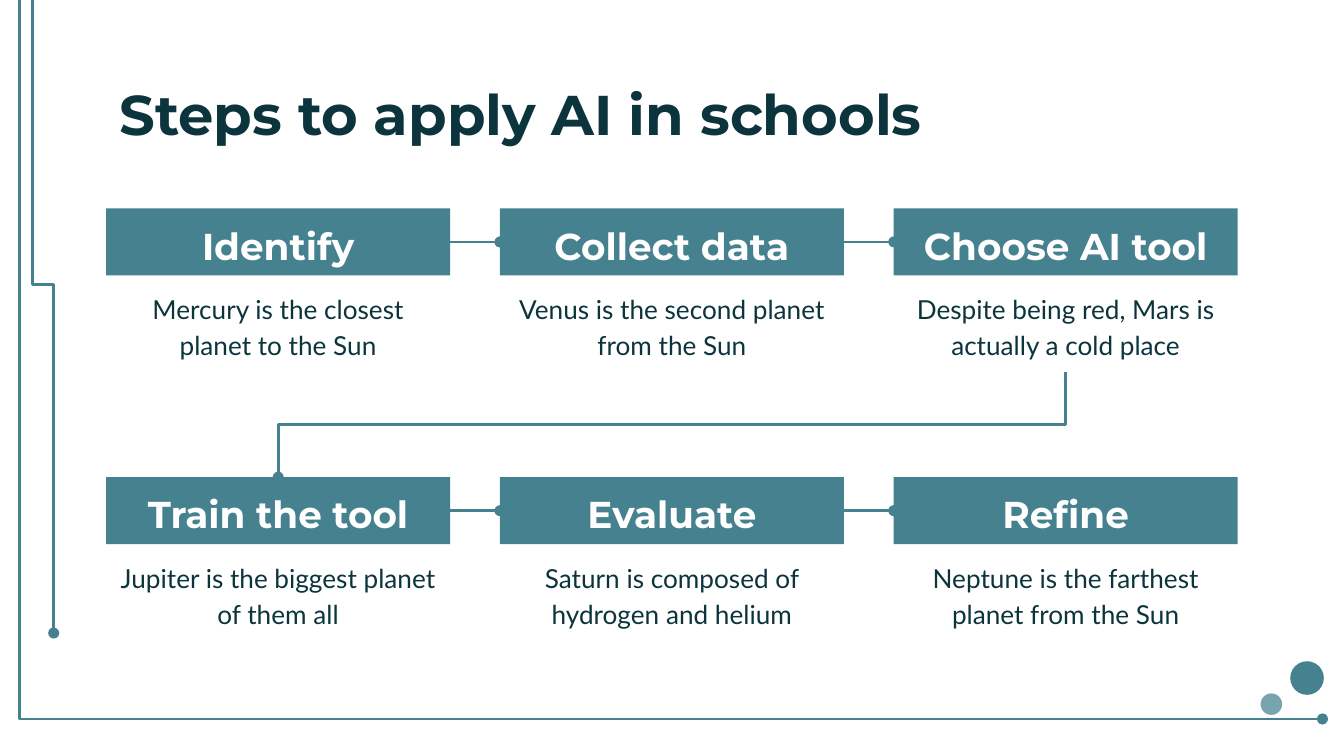
from lxml import etree
from pptx import Presentation
from pptx.dml.color import RGBColor
from pptx.enum import shapes, text
from pptx.oxml.ns import qn
from pptx.util import Inches, Pt

TEAL = RGBColor(0x45, 0x81, 0x8E)
LIGHT_TEAL = RGBColor(0x76, 0xA5, 0xAF)
DARK = RGBColor(0x0C, 0x34, 0x3D)
WHITE = RGBColor(0xFF, 0xFF, 0xFF)

TITLE = "Steps to apply AI in schools"
STEPS = [
    ("Identify", "Mercury is the closest planet to the Sun"),
    ("Collect data", "Venus is the second planet from the Sun"),
    ("Choose AI tool", "Despite being red, Mars is actually a cold place"),
    ("Train the tool", "Jupiter is the biggest planet of them all"),
    ("Evaluate", "Saturn is composed of hydrogen and helium"),
    ("Refine", "Neptune is the farthest planet from the Sun"),
]
DOTS = [(9.38, 5.16, 0.16, LIGHT_TEAL), (9.6, 4.92, 0.25, TEAL)]

# Slide size (16:9) and step grid
SLIDE_W = 10
SLIDE_H = SLIDE_W * 9 / 16
COLS = 3
LEFT, TOP = 0.79, 1.55
COL_PITCH, ROW_PITCH = 2.93, 2.0
STEP_W, HEAD_H, BODY_H = 2.56, 0.5, 0.72

prs = Presentation()
prs.slide_width, prs.slide_height = Inches(SLIDE_W), Inches(SLIDE_H)
s = prs.slides.add_slide(prs.slide_layouts[6])


def add_preset(kind, x, y, w, h, color):
    sp = s.shapes.add_shape(kind, Inches(x), Inches(y), Inches(w), Inches(h))
    sp.shadow.inherit = False
    sp.fill.solid()
    sp.fill.fore_color.rgb = color
    sp.line.fill.background()
    return sp


def add_box(x, y, w, h):
    return s.shapes.add_textbox(Inches(x), Inches(y), Inches(w), Inches(h))


def write(sp, words, size, font, color, bold=False, align=text.PP_ALIGN.CENTER,
          anchor=text.MSO_ANCHOR.TOP, spacing=1.15):
    tf = sp.text_frame
    tf.word_wrap = True
    tf.vertical_anchor = anchor
    tf.margin_left = tf.margin_right = tf.margin_top = tf.margin_bottom = Inches(0.1)
    p = tf.paragraphs[0]
    p.alignment, p.line_spacing = align, spacing
    r = p.add_run()
    r.text = words
    r.font.size, r.font.name, r.font.bold = Pt(size), font, bold
    r.font.color.rgb = color


def add_line(x1, y1, x2, y2, kind=shapes.MSO_CONNECTOR.STRAIGHT, bend=None):
    c = s.shapes.add_connector(kind, Inches(x1), Inches(y1), Inches(x2), Inches(y2))
    c.line.color.rgb, c.line.width = TEAL, Pt(1.5)
    etree.SubElement(c.line._get_or_add_ln(), qn("a:tailEnd"), type="oval")
    sp_pr = c._element.spPr
    etree.SubElement(sp_pr, qn("a:effectLst"))
    if bend is not None:
        guides = sp_pr.find(qn("a:prstGeom")).find(qn("a:avLst"))
        etree.SubElement(guides, qn("a:gd"), name="adj1", fmla=f"val {round(bend * 100000)}")
    return c


def add_down_elbow(x1, y1, x2, y2):
    """Elbow going down, across and down: a sideways elbow turned by 90 degrees."""
    cx, cy, dx, dy = (x1 + x2) / 2, (y1 + y2) / 2, x2 - x1, y2 - y1
    c = add_line(cx - dy / 2, cy + dx / 2, cx + dy / 2, cy - dx / 2,
                 shapes.MSO_CONNECTOR.ELBOW, 0.5)
    c._element.spPr.find(qn("a:xfrm")).set("rot", "5400000")


# Frame decoration
for x, y, d, color in DOTS:
    add_preset(shapes.MSO_SHAPE.OVAL, x, y, d, d, color)
add_line(0.07, -0.65, 9.84, 5.35, shapes.MSO_CONNECTOR.ELBOW, 0.008)
add_down_elbow(0.24, -0.48, 0.4, 4.71)

# Title
write(add_box(LEFT, 0.49, 8.43, 0.63), TITLE, 30, "Montserrat", DARK, bold=True,
      align=text.PP_ALIGN.LEFT, spacing=1.0)

# Steps
heads = []
for i, (name, detail) in enumerate(STEPS):
    row, col = divmod(i, COLS)
    x, y = LEFT + col * COL_PITCH, TOP + row * ROW_PITCH
    write(add_box(x, y + HEAD_H, STEP_W, BODY_H), detail, 14, "Lato", DARK)
    head = add_preset(shapes.MSO_SHAPE.RECTANGLE, x, y, STEP_W, HEAD_H, TEAL)
    write(head, name, 20, "Montserrat", WHITE, bold=True, anchor=text.MSO_ANCHOR.MIDDLE)
    heads.append(head)

# Links within each row
for i, (a, b) in enumerate(zip(heads, heads[1:])):
    if (i + 1) % COLS:
        c = add_line(0, 0, 1, 0)
        c.begin_connect(a, 3)
        c.end_connect(b, 1)

# Link from the first row to the second
first_mid = LEFT + STEP_W / 2
add_down_elbow(first_mid + (COLS - 1) * COL_PITCH, TOP + HEAD_H + BODY_H,
               first_mid, TOP + ROW_PITCH)

prs.save("out.pptx")
